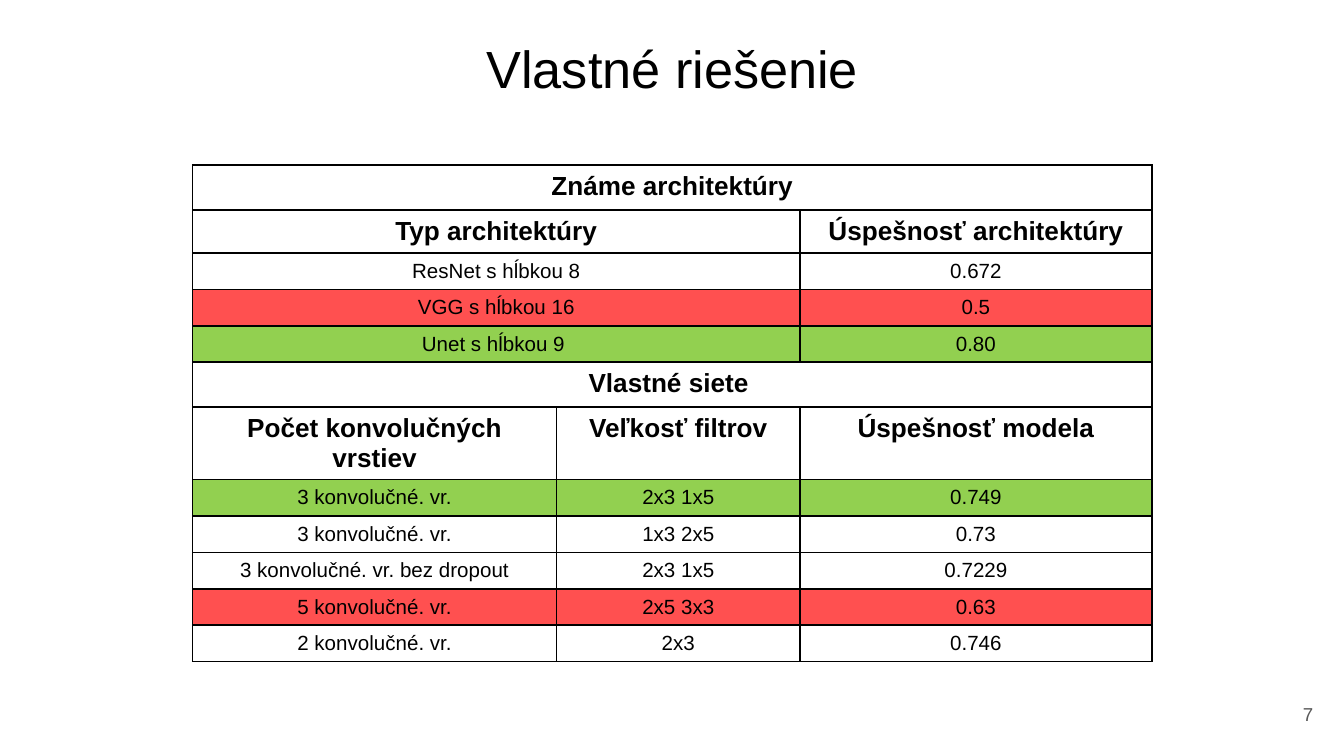
from lxml.etree import SubElement
from pptx import Presentation
from pptx.dml.color import RGBColor
from pptx.enum.text import MSO_ANCHOR, MSO_AUTO_SIZE, PP_ALIGN
from pptx.oxml.ns import qn
from pptx.util import Cm, Pt

BLACK, GRAY, RED, GREEN = "000000", "595959", "FF5050", "92D050"
HEADING, RECORD = 14, 11

COLUMN_WIDTHS = [6.88, 4.6, 6.65]
# Row height in cm, font size, fill, texts; an empty text joins the cell to its left.
TABLE_ROWS = [
    (0.85, HEADING, None, ["Známe architektúry", "", ""]),
    (0.8, HEADING, None, ["Typ architektúry", "", "Úspešnosť architektúry"]),
    (0.69, RECORD, None, ["ResNet s hĺbkou 8", "", "0.672"]),
    (0.69, RECORD, RED, ["VGG s hĺbkou 16", "", "0.5"]),
    (0.69, RECORD, GREEN, ["Unet s hĺbkou 9 ", "", "0.80"]),
    (0.85, HEADING, None, ["Vlastné siete ", "", ""]),
    (1.36, HEADING, None,
     ["Počet konvolučných vrstiev", "Veľkosť filtrov", "Úspešnosť modela"]),
    (0.69, RECORD, GREEN, ["3 konvolučné. vr.", "2x3 1x5", "0.749"]),
    (0.69, RECORD, None, ["3 konvolučné. vr.", "1x3 2x5", "0.73"]),
    (0.69, RECORD, None, ["3 konvolučné. vr. bez dropout", "2x3 1x5", "0.7229"]),
    (0.69, RECORD, RED, ["5 konvolučné. vr.", "2x5 3x3", "0.63"]),
    (0.69, RECORD, None, ["2 konvolučné. vr.", "2x3", "0.746"]),
]


def color(value):
    return RGBColor.from_string(value)


def add_borders(cell, value=BLACK, width=1):
    """Line all four sides; call before the fill is set, as the schema orders them."""
    properties = cell._tc.get_or_add_tcPr()
    for side in ("lnL", "lnR", "lnT", "lnB"):
        line = SubElement(properties, qn(f"a:{side}"), w=str(Pt(width)))
        fill = SubElement(line, qn("a:solidFill"))
        SubElement(fill, qn("a:srgbClr"), val=value)


class SlideBuilder:
    """Holds the text style and the slide being filled."""

    font_name = "Arial"

    def __init__(self, slide):
        self.slide = slide

    def set_text(self, frame, text, size, value=BLACK, bold=False, align=PP_ALIGN.CENTER):
        frame.text = text
        paragraph = frame.paragraphs[0]
        paragraph.alignment = align
        font = paragraph.font
        font.name, font.size, font.bold = self.font_name, Pt(size), bold
        font.color.rgb = color(value)

    def title(self, text, left, top, width, height):
        shape = self.slide.shapes.title
        shape.left, shape.top = Cm(left), Cm(top)
        shape.width, shape.height = Cm(width), Cm(height)
        frame = shape.text_frame
        frame.auto_size = MSO_AUTO_SIZE.NONE
        frame.vertical_anchor = MSO_ANCHOR.TOP
        frame.margin_top = Cm(0.35)
        self.set_text(frame, text, 28)

    def table(self, rows, widths, left, top):
        height = sum(row[0] for row in rows)
        table = self.slide.shapes.add_table(
            len(rows), len(widths), Cm(left), Cm(top), Cm(sum(widths)), Cm(height)
        ).table
        table.first_row = table.horz_banding = False
        for column, width in zip(table.columns, widths):
            column.width = Cm(width)
        for index, (height, size, fill, texts) in enumerate(rows):
            table.rows[index].height = Cm(height)
            for position, text in enumerate(texts):
                cell = table.cell(index, position)
                add_borders(cell)
                if fill:
                    cell.fill.solid()
                    cell.fill.fore_color.rgb = color(fill)
                else:
                    cell.fill.background()
                self.set_text(cell.text_frame, text, size, bold=size == HEADING)
            self.merge_empty(table, index, texts)

    def merge_empty(self, table, index, texts):
        starts = [position for position, text in enumerate(texts) if text]
        for start, following in zip(starts, starts[1:] + [len(texts)]):
            if following - start > 1:
                table.cell(index, start).merge(table.cell(index, following - 1))

    def page_number(self, text, left, top, width, height):
        frame = self.slide.shapes.add_textbox(
            Cm(left), Cm(top), Cm(width), Cm(height)
        ).text_frame
        frame.word_wrap = True
        frame.vertical_anchor = MSO_ANCHOR.MIDDLE
        self.set_text(frame, text, 10, GRAY, align=PP_ALIGN.RIGHT)


def main():
    presentation = Presentation()
    presentation.slide_width, presentation.slide_height = Cm(25.4), Cm(14.29)
    title_only = presentation.slide_layouts[5]
    builder = SlideBuilder(presentation.slides.add_slide(title_only))
    builder.title("Vlastné riešenie", 0.87, 0.33, 23.67, 1.6)
    builder.table(TABLE_ROWS, COLUMN_WIDTHS, 3.64, 3.12)
    builder.page_number("7", 23.55, 12.95, 1.52, 1.09)
    presentation.save("out.pptx")


if __name__ == "__main__":
    main()
